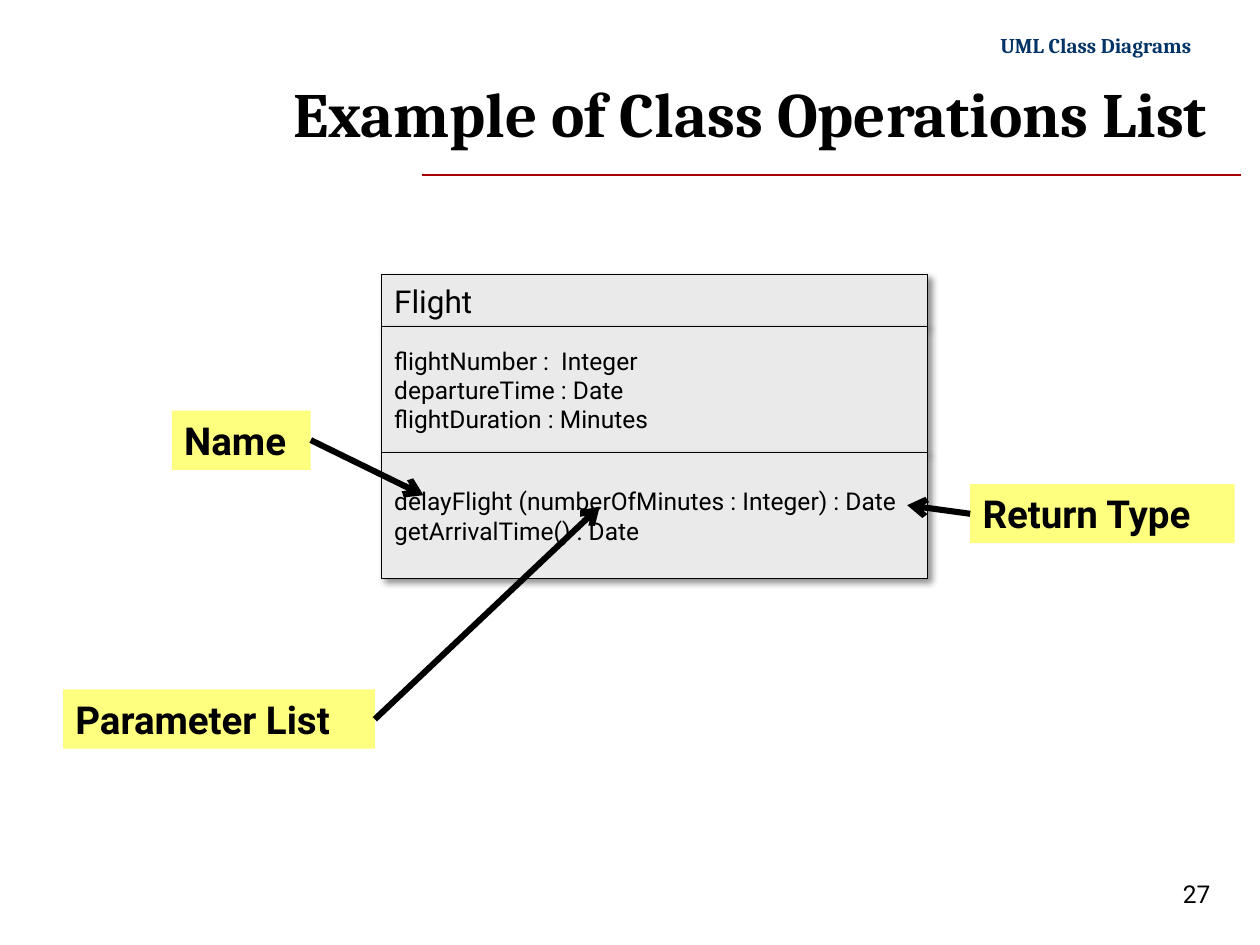
import pptx
import pptx.util
import pptx.oxml
import pptx.oxml.ns
import pptx.dml.color
import pptx.enum.shapes
import pptx.enum.text

Pt = pptx.util.Pt
RGB = pptx.dml.color.RGBColor
ALIGN = pptx.enum.text.PP_ALIGN
ANCHOR = pptx.enum.text.MSO_ANCHOR
KINDS = pptx.enum.shapes

BLACK = RGB(0, 0, 0)
NAVY = RGB(0x00, 0x33, 0x66)
RED = RGB(0xA8, 0x00, 0x00)
GRAY = RGB(0xEA, 0xEA, 0xEA)
YELLOW = RGB(0xFF, 0xFF, 0x00)
HEAD, BODY = "Cambria", "Roboto"


def node(tag, **attrs):
    item = pptx.oxml.parse_xml(f"<a:{tag} {pptx.oxml.ns.nsdecls('a')}/>")
    for key, value in attrs.items():
        item.set(key, str(value))
    return item


def write(shape, lines, size, font=BODY, color=BLACK, bold=False,
          align=ALIGN.LEFT, anchor=ANCHOR.TOP):
    frame = shape.text_frame
    frame.word_wrap = True
    frame.vertical_anchor = anchor
    for i, line in enumerate(lines):
        para = frame.paragraphs[0] if i == 0 else frame.add_paragraph()
        para.alignment = align
        run = para.add_run()
        run.text = line
        run.font.name = font
        run.font.size = Pt(size)
        run.font.bold = bold
        run.font.color.rgb = color


def text(slide, box, line, size, **style):
    write(slide.shapes.add_textbox(*map(Pt, box)), [line], size, **style)


def rect(slide, box, fill):
    shape = slide.shapes.add_shape(KINDS.MSO_SHAPE.RECTANGLE, *map(Pt, box))
    shape.shadow.inherit = False
    shape.fill.solid()
    shape.fill.fore_color.rgb = fill
    return shape


def part(slide, box, lines, size):
    """One compartment of the class box, with a soft shadow."""
    shape = rect(slide, box, GRAY)
    shape.line.color.rgb = BLACK
    shape.line.width = Pt(0.75)
    shade = node("outerShdw", blurRad=Pt(4), dist=Pt(3), dir=45 * 60000,
                 algn="tl", rotWithShape=0)
    tint = node("srgbClr", val=BLACK)
    tint.append(node("alpha", val=43000))
    shade.append(tint)
    shape._element.spPr.find(pptx.oxml.ns.qn("a:effectLst")).append(shade)
    write(shape, lines, size, anchor=ANCHOR.MIDDLE)


def label(slide, left, top, width, line):
    shape = rect(slide, (left, top, width, 33.8), YELLOW)
    shape.line.fill.background()
    tint = shape._element.spPr.find(".//" + pptx.oxml.ns.qn("a:srgbClr"))
    tint.append(node("alpha", val=50000))
    write(shape, [line], 22, bold=True)


def link(slide, ends, color, width, arrow=False):
    line = slide.shapes.add_connector(KINDS.MSO_CONNECTOR.STRAIGHT,
                                      *map(Pt, ends))
    line.line.color.rgb = color
    line.line.width = Pt(width)
    if arrow:
        line.line._get_or_add_ln().append(node("tailEnd", type="arrow"))
    line._element.spPr.append(node("effectLst"))


def main():
    deck = pptx.Presentation()
    deck.slide_width, deck.slide_height = Pt(720), Pt(540)
    slide = deck.slides.add_slide(deck.slide_layouts[6])

    # Header, title and page number
    link(slide, (241.2, 100, 709.2, 100), RED, 0.75)
    text(slide, (561.6, 15.1, 128.9, 21.6), "UML Class Diagrams ", 12,
         font=HEAD, color=NAVY, bold=True, align=ALIGN.RIGHT)
    text(slide, (668.9, 499, 51.1, 24.5), "27", 14)
    text(slide, (144.7, 37.4, 552.2, 54), "Example of Class Operations List",
         36, font=HEAD, bold=True, align=ALIGN.RIGHT, anchor=ANCHOR.MIDDLE)

    # Class box: name, attributes, operations
    top = 156.7
    for high, size, lines in (
        (30, 18, ["Flight"]),
        (72, 14, ["flightNumber :  Integer", "departureTime : Date",
                  "flightDuration : Minutes"]),
        (72, 14, ["delayFlight (numberOfMinutes : Integer) : Date",
                  "getArrivalTime() : Date"]),
    ):
        part(slide, (218.2, top, 311.8, high), lines, size)
        top += high

    # Labels, each with its arrow
    for left, y, width, line, ends in (
        (98.2, 234.7, 79.4, "Name", (177.6, 251.5, 242, 283)),
        (554.4, 276.7, 151.2, "Return Type", (554.4, 293.6, 518.4, 288.7)),
        (36, 394, 178.2, "Parameter List", (214.2, 411, 342.7, 289.5)),
    ):
        label(slide, left, y, width, line)
        link(slide, ends, BLACK, 3.5, arrow=True)

    deck.save("out.pptx")


main()
